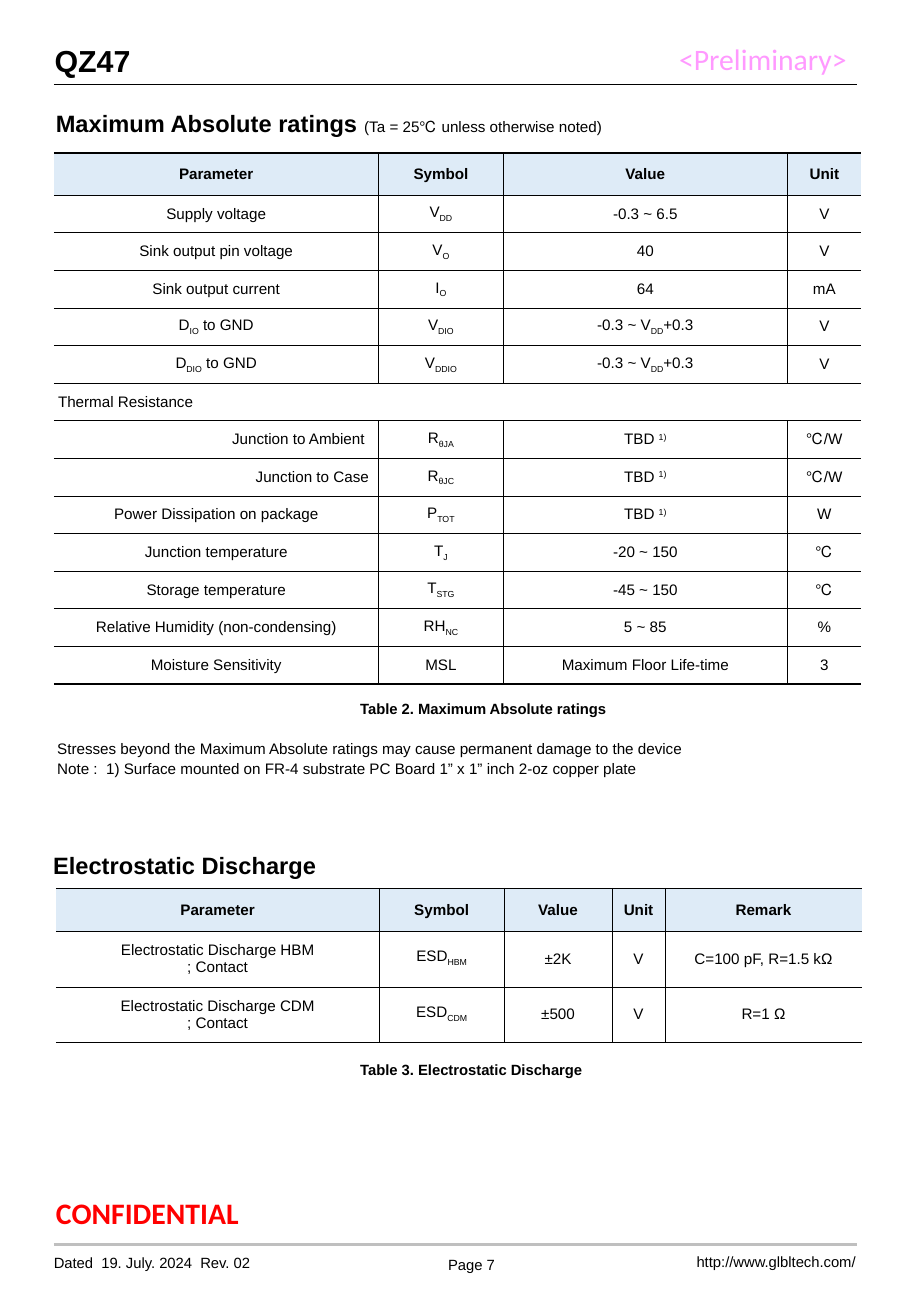
import pptx
import pptx.dml.color
import pptx.enum.shapes
import pptx.enum.text
import pptx.oxml.ns
import pptx.util
from lxml import etree

Pt = pptx.util.Pt
RGBColor = pptx.dml.color.RGBColor
ALIGN = pptx.enum.text.PP_ALIGN
ANCHOR = pptx.enum.text.MSO_ANCHOR
qn = pptx.oxml.ns.qn

BLACK = RGBColor(0x00, 0x00, 0x00)
RED = RGBColor(0xFF, 0x00, 0x00)
PINK = RGBColor(0xFF, 0x99, 0xFF)
GREY = RGBColor(0xBF, 0xBF, 0xBF)
HEADER_BLUE = RGBColor(0xDE, 0xEB, 0xF7)

# Content: "|" separates runs, "_" starts a subscript, "^" a superscript
PRODUCT = "QZ47"
THERMAL = "Thermal Resistance"
RATINGS = [
    ("Parameter", "Symbol", "Value", "Unit"),
    ("Supply voltage", "V|_DD", "-0.3 ~ 6.5", "V"),
    ("Sink output pin voltage", "V|_O", "40", "V"),
    ("Sink output current", "I|_O", "64", "mA"),
    ("D|_IO| to GND", "V|_DIO", "-0.3 ~ V|_DD|+0.3", "V"),
    ("D|_DIO| to GND", "V|_DDIO", "-0.3 ~ V|_DD|+0.3", "V"),
    (THERMAL, "", "", ""),
    ("Junction to Ambient ", "R|_θJA", "TBD |^1)", "℃/W"),
    ("Junction to Case", "R|_θJC", "TBD |^1)", "℃/W"),
    ("Power Dissipation on package", "P|_TOT", "TBD |^1)", "W"),
    ("Junction temperature", "T|_J", "-20 ~ 150", "℃"),
    ("Storage temperature", "T|_STG", "-45 ~ 150", "℃"),
    ("Relative Humidity (non-condensing)", "RH|_NC", "5 ~ 85", "%"),
    ("Moisture Sensitivity", "MSL", "Maximum Floor Life-time", "3"),
]
DISCHARGE = [
    ("Parameter", "Symbol", "Value", "Unit", "Remark"),
    ("Electrostatic Discharge HBM\n; Contact", "ESD|_HBM", "±2K", "V", "C=100 pF, R=1.5 kΩ"),
    ("Electrostatic Discharge CDM\n; Contact", "ESD|_CDM", "±500", "V", "R=1 Ω"),
]
NOTES = ("Stresses beyond the Maximum Absolute ratings may cause permanent damage to the device\n"
         "Note :  1) Surface mounted on FR-4 substrate PC Board 1” x 1” inch 2-oz copper plate")

# Text, (left, top, width, height), size, bold, font, colour, alignment
LABELS = [
    ("CONFIDENTIAL", (33.2, 708.2, 157, 22), 17.6, True, "Calibri", RED, ALIGN.LEFT),
    ("<Preliminary>", (402.5, 24.2, 112, 22), 17.6, False, "Calibri", PINK, ALIGN.LEFT),
    ("http://www.glbltech.com/", (402.8, 742.6, 104.5, 11), 8.8, False, "Arial", BLACK, ALIGN.RIGHT),
    ("Page 7", (260.5, 744, 38, 11), 8.8, False, "Arial", BLACK, ALIGN.CENTER),
    ("Dated  19. July. 2024  Rev. 02", (31.9, 742.8, 155, 11), 8.8, False, "Arial", BLACK, ALIGN.LEFT),
    ("Electrostatic Discharge", (31.5, 504, 170, 18), 14, True, "Arial", BLACK, ALIGN.LEFT),
    ("Table 2. Maximum Absolute ratings", (213.5, 414.8, 195, 11), 8.8, True, "Arial", BLACK, ALIGN.LEFT),
    ("Table 3. Electrostatic Discharge", (213.5, 628.8, 195, 11), 8.8, True, "Arial", BLACK, ALIGN.LEFT),
]
# Top, colour, width
RULES = [(50.2, BLACK, 0.5), (737.3, GREY, 2)]
RULE_LEFT, RULE_RIGHT = 31.9, 507.9
BASELINES = {"_": "-25000", "^": "30000"}


def write(frame, text, size, bold=False, font="Arial", color=BLACK, align=ALIGN.LEFT, spacing=None):
    for number, line in enumerate(text.split("\n")):
        paragraph = frame.add_paragraph() if number else frame.paragraphs[0]
        paragraph.alignment = align
        if spacing:
            paragraph.line_spacing = Pt(spacing)
        paragraph.font.name = font
        paragraph.font.size = Pt(size)
        paragraph.font.bold = bold
        paragraph.font.color.rgb = color
        for piece in filter(None, line.split("|")):
            run = paragraph.add_run()
            run.text = piece.lstrip("_^")
            if piece[0] in BASELINES:
                run.font._element.set("baseline", BASELINES[piece[0]])


def set_margins(holder, left=0, top=0, right=0, bottom=0):
    holder.margin_left, holder.margin_top = Pt(left), Pt(top)
    holder.margin_right, holder.margin_bottom = Pt(right), Pt(bottom)


def add_label(slide, text, box, *style, wrap=True):
    frame = slide.shapes.add_textbox(*map(Pt, box)).text_frame
    frame.word_wrap = wrap
    set_margins(frame)
    write(frame, text, *style)
    return frame


def set_border(cell, side, width):
    line = etree.SubElement(cell._tc.get_or_add_tcPr(), qn("a:ln" + side))
    if width:
        line.set("w", str(Pt(width)))
        fill = etree.SubElement(line, qn("a:solidFill"))
        etree.SubElement(fill, qn("a:srgbClr")).set("val", str(BLACK))
    else:
        etree.SubElement(line, qn("a:noFill"))


def add_grid(slide, rows, left, top, widths, header_height, row_height, spacing=None):
    heights = [header_height] + [row_height] * (len(rows) - 1)
    table = slide.shapes.add_table(len(rows), len(widths), Pt(left), Pt(top),
                                   Pt(sum(widths)), Pt(sum(heights))).table
    table.first_row = table.horz_banding = False
    for column, width in zip(table.columns, widths):
        column.width = Pt(width)
    for r, (values, height) in enumerate(zip(rows, heights)):
        table.rows[r].height = Pt(height)
        section = values[0] == THERMAL
        for c, text in enumerate(values):
            cell = table.cell(r, c)
            # Open sides, thin inner lines, heavier top and bottom
            set_border(cell, "L", 0.25 if c and not section else 0)
            set_border(cell, "R", 0.25 if c < len(values) - 1 and not section else 0)
            set_border(cell, "T", 0.25 if r else 1)
            set_border(cell, "B", 0.25 if r < len(rows) - 1 else 1)
            if r:
                cell.fill.background()
            else:
                cell.fill.solid()
                cell.fill.fore_color.rgb = HEADER_BLUE
            cell.vertical_anchor = ANCHOR.MIDDLE
            align = ALIGN.CENTER
            set_margins(cell)
            if section:
                align = ALIGN.LEFT
                set_margins(cell, left=2.5)
            elif text.startswith("Junction to"):
                align = ALIGN.RIGHT
                set_margins(cell, right=5.8)
            write(cell.text_frame, text, 9, bold=r == 0, align=align,
                  spacing=spacing if r else None)


def main():
    deck = pptx.Presentation()
    deck.slide_width, deck.slide_height = Pt(540), Pt(779.8)
    slide = deck.slides.add_slide(deck.slide_layouts[5])

    # Page title
    title = slide.shapes.title
    title.left, title.top, title.width, title.height = map(Pt, (32.4, 21.6, 478.8, 28.8))
    title.text_frame.auto_size = pptx.enum.text.MSO_AUTO_SIZE.NONE
    title.text_frame.vertical_anchor = ANCHOR.TOP
    set_margins(title.text_frame, top=3.6, bottom=3.6)
    write(title.text_frame, PRODUCT, 18, True)

    # Header and footer rules
    for top, color, width in RULES:
        rule = slide.shapes.add_connector(pptx.enum.shapes.MSO_CONNECTOR.STRAIGHT,
                                          Pt(RULE_LEFT), Pt(top), Pt(RULE_RIGHT), Pt(top))
        rule.line.color.rgb = color
        rule.line.width = Pt(width)
        etree.SubElement(rule._element.spPr, qn("a:effectLst"))

    # Headings, captions, footer and notes
    for label in LABELS:
        add_label(slide, *label)
    heading = add_label(slide, "Maximum Absolute ratings |(Ta = 25℃ unless otherwise noted)",
                        (33.1, 64.8, 332, 18), 14, True, wrap=False)
    condition = heading.paragraphs[0].runs[1]
    condition.font.size = Pt(9)
    condition.font.bold = False
    notes = add_label(slide, NOTES, (33.9, 438, 475, 24), 9)
    notes.paragraphs[1].space_before = Pt(1)

    # Tables
    add_grid(slide, RATINGS, 31.9, 90.6, (192.5, 74, 168.3, 44), 25, 22.3)
    add_grid(slide, DISCHARGE, 33.1, 526.6, (191.7, 74, 64, 31.5, 116.6), 25.2, 33, spacing=10)
    deck.save("out.pptx")


if __name__ == "__main__":
    main()
